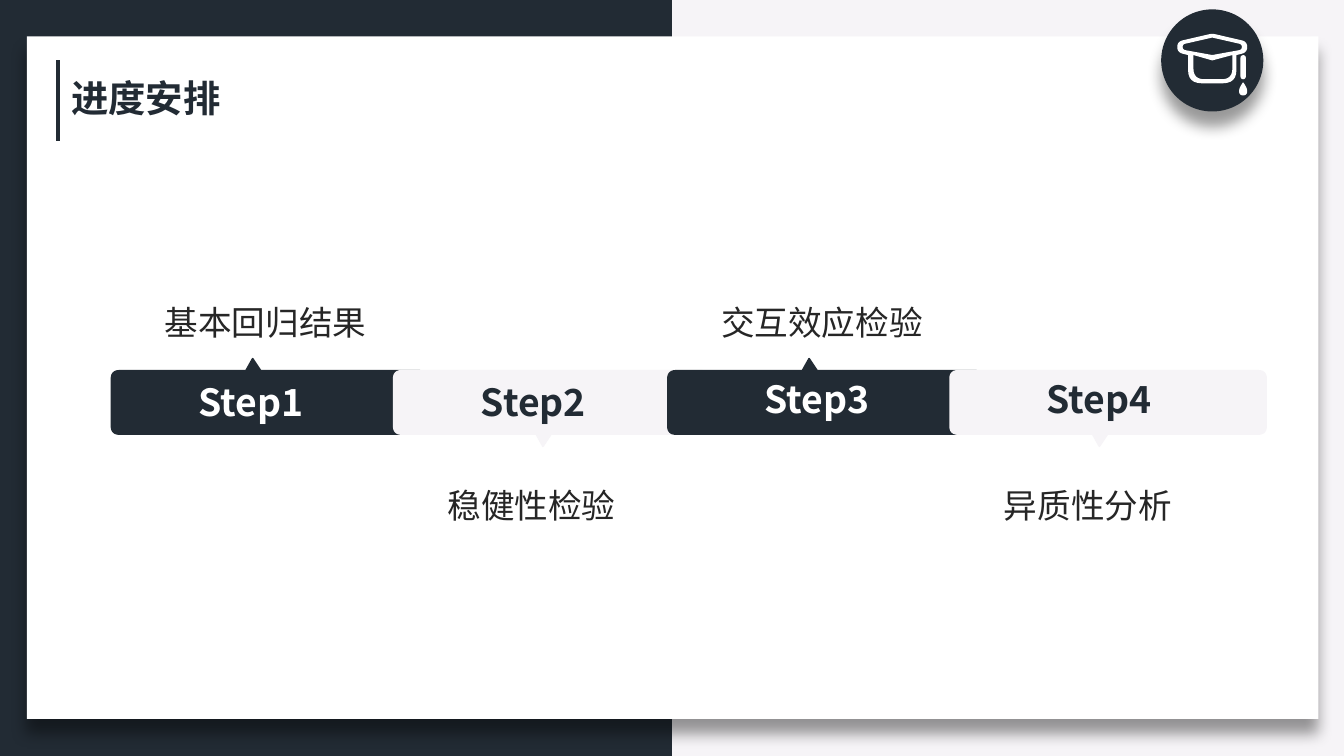
from lxml import etree
from pptx import Presentation
from pptx.dml.color import RGBColor
from pptx.enum.shapes import MSO_CONNECTOR, MSO_SHAPE
from pptx.enum.text import MSO_AUTO_SIZE, PP_ALIGN
from pptx.oxml.ns import qn
from pptx.util import Inches, Pt

NAVY = RGBColor(0x22, 0x2B, 0x34)
PALE = RGBColor(0xF6, 0xF4, 0xF7)
WHITE = RGBColor(0xFF, 0xFF, 0xFF)
GRAY = RGBColor(0x26, 0x26, 0x26)
HEAD_FONT = "Noto Sans CJK SC"
BODY_FONT = "Calibri"
RECT, OVAL, PILL = MSO_SHAPE.RECTANGLE, MSO_SHAPE.OVAL, MSO_SHAPE.ROUNDED_RECTANGLE
STRAIGHT = MSO_CONNECTOR.STRAIGHT
GROW = MSO_AUTO_SIZE.SHAPE_TO_FIT_TEXT
LEFT, CENTER = PP_ALIGN.LEFT, PP_ALIGN.CENTER

SLIDE_W = 10
SLIDE_H = SLIDE_W * 9 / 16
BAR_W, BAR_TOP, BAR_BOTTOM = 2.35, 2.76, 3.23
STEPS = ["基本回归结果", "稳健性检验", "交互效应检验", "异质性分析"]


def rounded(corners, steps=6):
    """Turn (x, y[, radius]) corners into outline points with curved corners."""
    points = []
    for i, (x, y, *radius) in enumerate(corners):
        if not radius:
            points.append((x, y))
            continue
        ends = []
        for nx, ny, *_ in (corners[i - 1], corners[(i + 1) % len(corners)]):
            k = radius[0] / ((nx - x) ** 2 + (ny - y) ** 2) ** 0.5
            ends.append((x + (nx - x) * k, y + (ny - y) * k))
        (ax, ay), (bx, by) = ends
        for t in (n / steps for n in range(steps + 1)):
            u = 1 - t
            points.append((u * u * ax + 2 * u * t * x + t * t * bx,
                           u * u * ay + 2 * u * t * y + t * t * by))
    return points


class Deck:
    def __init__(self, prs):
        self.slide = prs.slides.add_slide(prs.slide_layouts[6])
        self.shapes = self.slide.shapes
        fill = self.slide.background.fill
        fill.solid()
        fill.fore_color.rgb = PALE

    def paint(self, sp, color, line_width=0):
        sp.shadow.inherit = False
        sp.fill.solid()
        sp.fill.fore_color.rgb = color
        if line_width:
            sp.line.color.rgb = color
            sp.line.width = Pt(line_width)
        else:
            sp.line.fill.background()

    def shape(self, kind, x, y, w, h, color, shadow=False):
        sp = self.shapes.add_shape(kind, Inches(x), Inches(y), Inches(w), Inches(h))
        self.paint(sp, color)
        if shadow:
            effects = sp._element.spPr.find(qn("a:effectLst"))
            outer = etree.SubElement(effects, qn("a:outerShdw"), blurRad=str(Pt(8)),
                                     dist=str(Pt(8)), dir="5400000", algn="t", rotWithShape="0")
            tint = etree.SubElement(outer, qn("a:srgbClr"), val="000000")
            etree.SubElement(tint, qn("a:alpha"), val="40000")
        return sp

    def outline(self, contours, color, line_width=0):
        """Draw closed contours as one freeform; inner contours are holes."""
        builder = None
        for corners in contours:
            points = [(Inches(x), Inches(y)) for x, y in rounded(corners)]
            if builder is None:
                builder = self.shapes.build_freeform(*points[0])
            else:
                builder.move_to(*points[0])
            builder.add_line_segments(points[1:], close=True)
        self.paint(builder.convert_to_shape(), color, line_width)

    def line(self, x1, y1, x2, y2, color, width):
        cn = self.shapes.add_connector(STRAIGHT, Inches(x1), Inches(y1), Inches(x2), Inches(y2))
        cn.line.color.rgb = color
        cn.line.width = Pt(width)
        etree.SubElement(cn._element.spPr, qn("a:effectLst"))

    def text(self, text, x, y, w, h, *, size=20, font=HEAD_FONT, color=NAVY,
             bold=False, align=LEFT, wrap=False, spacing=1.0):
        tf = self.shapes.add_textbox(Inches(x), Inches(y), Inches(w), Inches(h)).text_frame
        tf.word_wrap = wrap
        tf.auto_size = GROW
        p = tf.paragraphs[0]
        p.alignment = align
        p.line_spacing = spacing
        r = p.add_run()
        r.text = text
        r.font.size = Pt(size)
        r.font.name = font
        r.font.bold = bold
        r.font.color.rgb = color
        etree.SubElement(r._r.get_or_add_rPr(), qn("a:ea"), typeface=font)

    def step_bar(self, x, points_up, color):
        top, bottom, right, r = BAR_TOP, BAR_BOTTOM, x + BAR_W, 0.06
        up = [(x + 1, top), (x + 1.05, top - 0.09), (x + 1.11, top)] if points_up else []
        down = [] if points_up else [(x + 1.17, bottom), (x + 1.11, bottom + 0.09), (x + 1.06, bottom)]
        self.outline([[(x, top, r), *up, (right, top, r), (right, bottom, r), *down,
                       (x, bottom, r)]], color, 1)

    def cap_badge(self):
        self.shape(OVAL, 8.64, 0.07, 0.76, 0.76, NAVY, shadow=True)
        cap = [(9.02, 0.25, 0.02), (8.76, 0.31, 0.04), (8.76, 0.39, 0.04), (8.84, 0.41),
               (8.84, 0.62, 0.1), (9.2, 0.62, 0.1), (9.2, 0.41),
               (9.28, 0.39, 0.04), (9.28, 0.31, 0.04)]
        board = [(9.02, 0.28), (8.8, 0.33, 0.02), (8.8, 0.37, 0.02),
                 (9.02, 0.41), (9.24, 0.37, 0.02), (9.24, 0.33, 0.02)]
        bowl = [(8.88, 0.41), (9.02, 0.45), (9.17, 0.41), (9.17, 0.59, 0.08), (8.88, 0.59, 0.08)]
        self.outline([cap, board, bowl], WHITE)
        self.shape(PILL, 9.23, 0.41, 0.04, 0.18, WHITE).adjustments[0] = 0.5
        self.outline([[(9.25, 0.61, 0.01), (9.28, 0.66, 0.02), (9.28, 0.71, 0.03),
                       (9.22, 0.71, 0.03), (9.22, 0.66, 0.02)]], WHITE)


def main():
    prs = Presentation()
    prs.slide_width, prs.slide_height = Inches(SLIDE_W), Inches(SLIDE_H)
    deck = Deck(prs)

    deck.shape(RECT, 0, 0, SLIDE_W / 2, SLIDE_H, NAVY)
    deck.shape(RECT, 0.2, 0.27, 9.61, 5.08, WHITE, shadow=True)
    deck.line(0.43, 0.45, 0.43, 1.05, NAVY, 2.25)
    deck.cap_badge()
    deck.text("进度安排", 0.43, 0.51, 1.32, 0.44, bold=True)

    places = [divmod(i, 2) for i in range(len(STEPS))]
    for pair, second in places:
        deck.step_bar(0.83 + 4.14 * pair + 2.1 * second, not second, PALE if second else NAVY)
    for i, (pair, second) in enumerate(places):
        deck.text(f"Step{i + 1}", 1.38 + 4.21 * pair + 2.1 * second, 2.77 - 0.02 * pair, 1, 0.44,
                  color=NAVY if second else WHITE, bold=True)
    for caption, (pair, second) in zip(STEPS, places):
        deck.text(caption, 1.03 + 4.14 * pair + 1.98 * second, 3.41 if second else 2.05, 1.89, 0.51,
                  size=18, font=BODY_FONT, color=GRAY, align=CENTER, wrap=True, spacing=1.5)

    prs.save("out.pptx")


if __name__ == "__main__":
    main()
